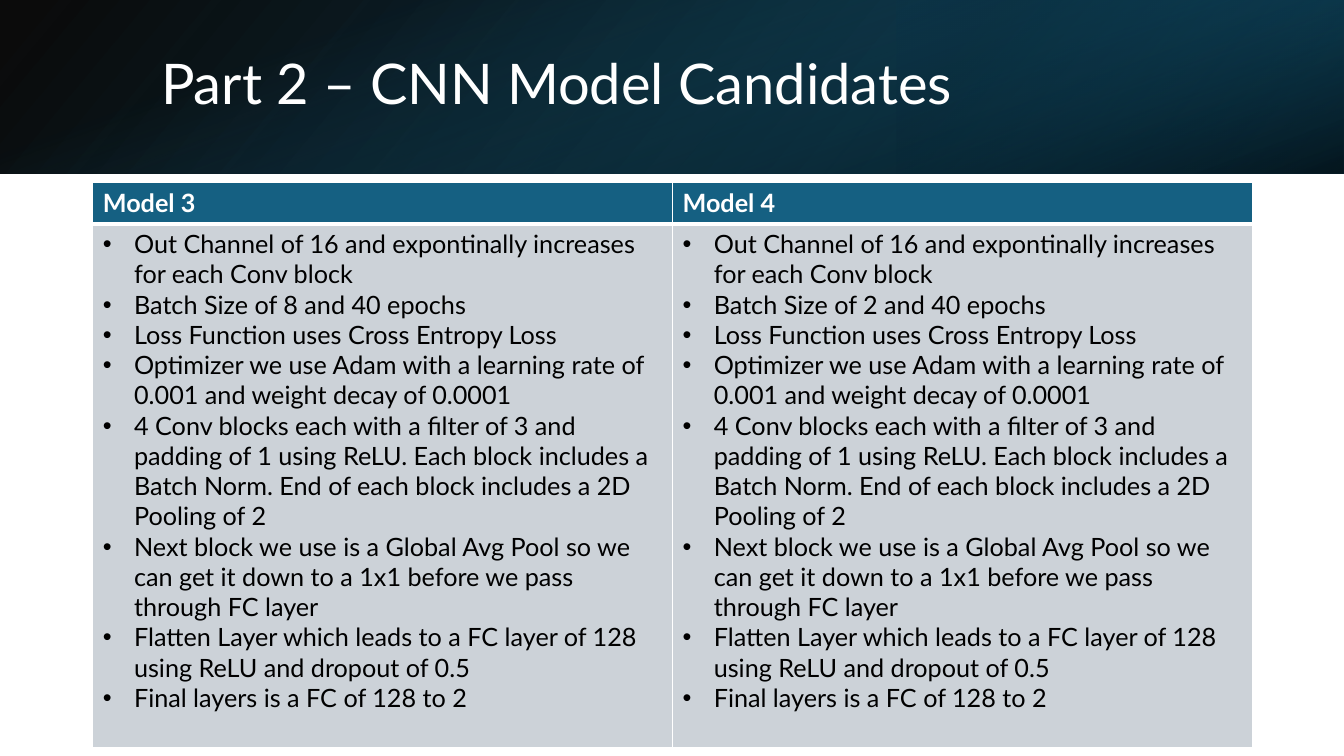
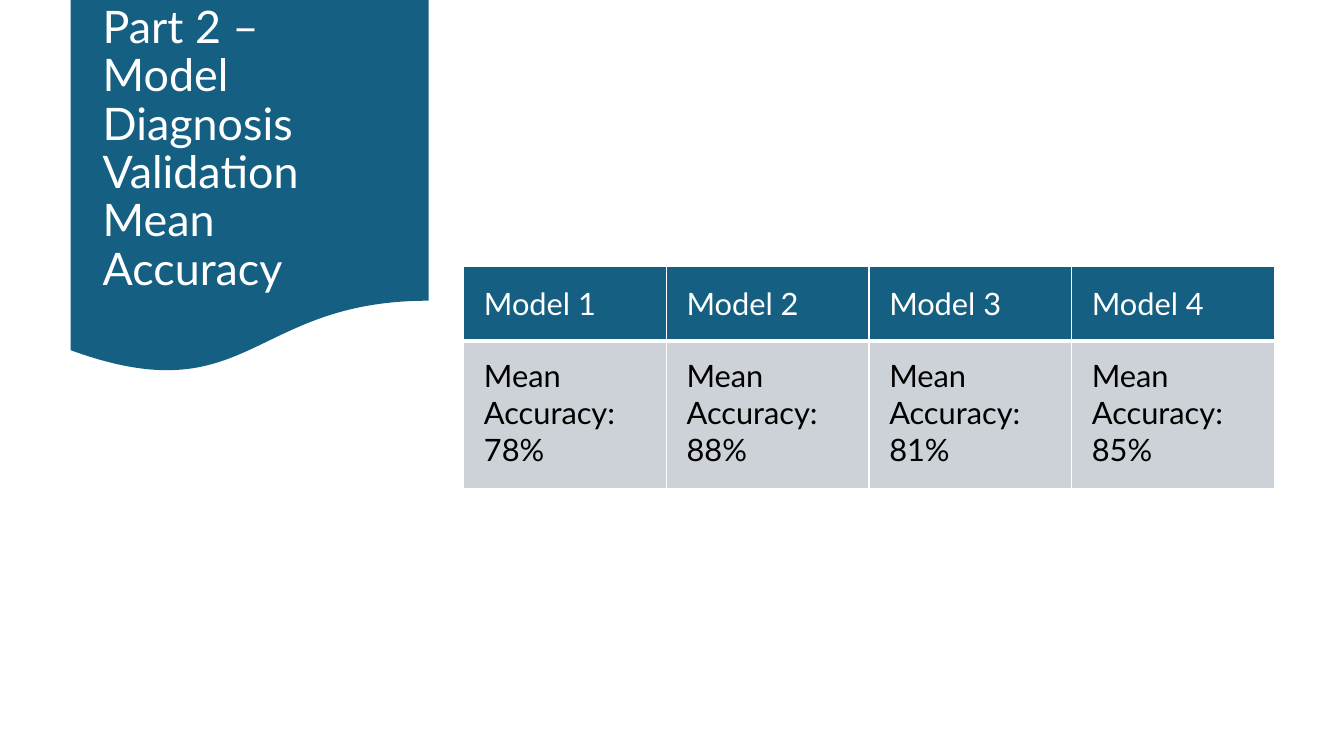
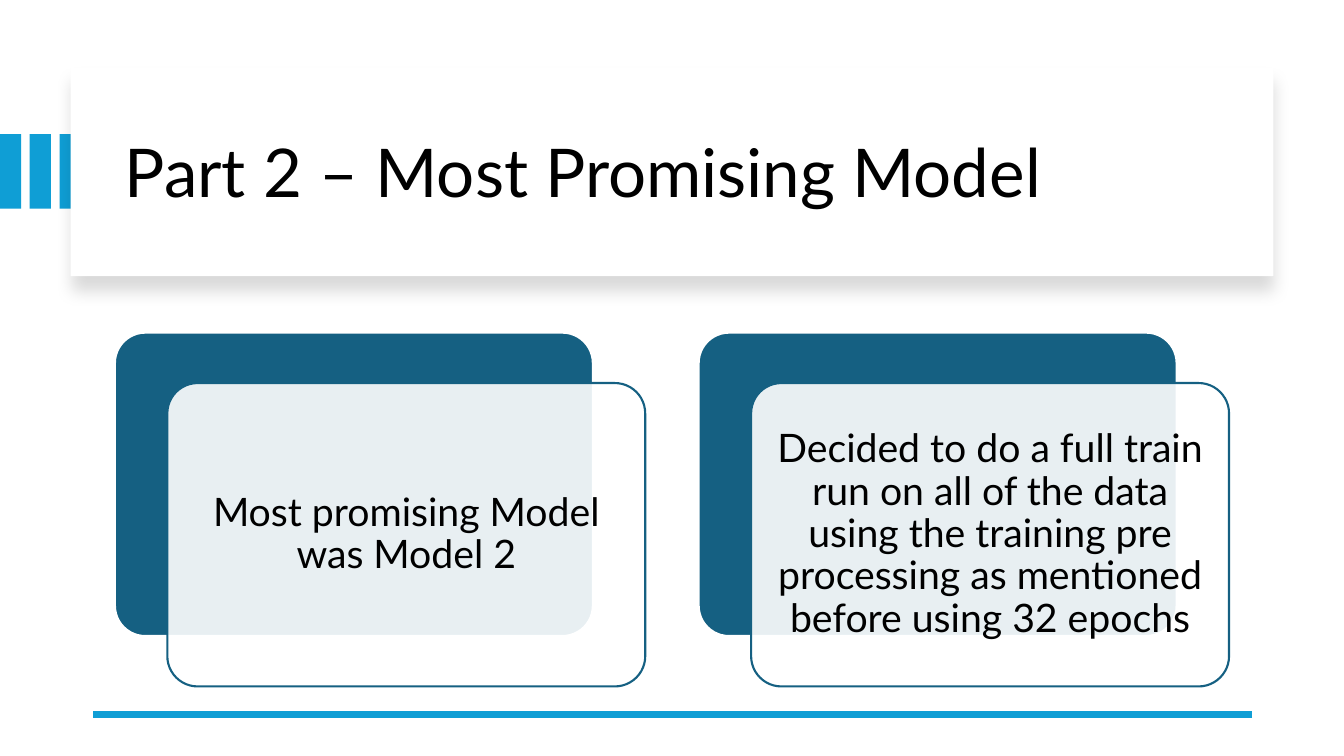
"""Build three slides on CNN model candidates, their accuracy and the chosen model."""
import pptx
import pptx.util
import pptx.dml.color
import pptx.enum.shapes
import pptx.enum.text
import pptx.oxml
import pptx.oxml.ns
from pptx.util import Inches

FONT = "Lato"
TEAL, SKY, GREY, WHITE, BLACK = "156082", "0F9ED5", "CCD2D8", "FFFFFF", "000000"
SHAPES = pptx.enum.shapes.MSO_SHAPE
MIDDLE = pptx.enum.text.MSO_ANCHOR.MIDDLE
TOP = pptx.enum.text.MSO_ANCHOR.TOP
CENTER = pptx.enum.text.PP_ALIGN.CENTER
LEFT = pptx.enum.text.PP_ALIGN.LEFT
NS = 'xmlns:a="http://schemas.openxmlformats.org/drawingml/2006/main"'

TIGHT_CELL = {"margin_left": Inches(0.1), "margin_right": Inches(0.1),
              "margin_top": Inches(0.05), "margin_bottom": Inches(0.05)}
ROOMY_CELL = {"margin_left": Inches(0.2), "margin_right": Inches(0.27),
              "margin_top": Inches(0.16), "margin_bottom": Inches(0.16)}
CARD_TEXT = {"word_wrap": True, "vertical_anchor": MIDDLE,
             **{"margin_" + side: Inches(0.12) for side in ("left", "right", "top", "bottom")}}


def rgb(value):
    return pptx.dml.color.RGBColor.from_string(value)


def apply(target, values):
    for key, value in values.items():
        setattr(target, key, value)


def xml(markup):
    return pptx.oxml.parse_xml(markup)


def set_alpha(color_element, percent):
    color_element.append(xml(f'<a:alpha {NS} val="{percent * 1000}"/>'))


def write(paragraph, text, size, color, bold=False, **layout):
    apply(paragraph, layout)
    run = paragraph.add_run()
    run.text = text
    apply(run.font, {"name": FONT, "size": pptx.util.Pt(size), "bold": bold})
    run.font.color.rgb = rgb(color)


def add_title(slide, box, text, size, color):
    frame = slide.shapes.add_textbox(*map(Inches, box)).text_frame
    apply(frame, {"word_wrap": True, "vertical_anchor": MIDDLE})
    write(frame.paragraphs[0], text, size, color, line_spacing=0.9)


def add_panel(shapes, kind, box, fill=None, alpha=100, outline=None):
    panel = shapes.add_shape(kind, *map(Inches, box))
    panel.shadow.inherit = False
    if fill:
        panel.fill.solid()
        panel.fill.fore_color.rgb = rgb(fill)
        if alpha < 100:
            set_alpha(next(panel._element.spPr.iter(pptx.oxml.ns.qn("a:srgbClr"))), alpha)
    if outline:
        panel.line.color.rgb = rgb(outline)
        panel.line.width = pptx.util.Pt(1.5)
    else:
        panel.line.fill.background()
    return panel


def add_gradient(slide, box, stops, clockwise_angle):
    fill = add_panel(slide.shapes, SHAPES.RECTANGLE, box).fill
    fill.gradient()
    fill.gradient_angle = 360 - clockwise_angle
    for stop, (position, color, alpha) in zip(fill.gradient_stops, stops):
        stop.position = position
        stop.color.rgb = rgb(color)
        set_alpha(stop._gs.find(pptx.oxml.ns.qn("a:srgbClr")), alpha)


def add_soft_shadow(panel):
    effects = panel._element.spPr.find(pptx.oxml.ns.qn("a:effectLst"))
    effects.append(xml(
        f'<a:outerShdw {NS} blurRad="{pptx.util.Pt(11)}" dist="{pptx.util.Pt(10)}" dir="5400000" '
        f'algn="t" rotWithShape="0"><a:srgbClr val="{BLACK}"><a:alpha val="15000"/>'
        '</a:srgbClr></a:outerShdw>'))


def add_borders(cell, widths):
    properties = cell._tc.get_or_add_tcPr()
    for position, (side, width) in enumerate(widths.items()):
        properties.insert(position, xml(
            f'<a:ln{side} {NS} w="{pptx.util.Pt(width)}"><a:solidFill>'
            f'<a:srgbClr val="{WHITE}"/></a:solidFill></a:ln{side}>'))


def add_bullet(paragraph):
    properties = paragraph._p.get_or_add_pPr()
    apply_indent = Inches(0.31)
    properties.set("marL", str(apply_indent))
    properties.set("indent", str(-apply_indent))
    properties.append(xml(f'<a:buFont {NS} typeface="Arial"/>'))
    properties.append(xml(f'<a:buChar {NS} char="•"/>'))


def add_models(slide, box, heights, headings, bodies, size, margins,
               bold=False, bulleted=False, heading_anchor=TOP):
    table = slide.shapes.add_table(2, len(headings), *map(Inches, box)).table
    table.horz_banding = False
    for row, height in zip(table.rows, heights):
        row.height = Inches(height)
    for column, (heading, lines) in enumerate(zip(headings, bodies)):
        head, body = table.cell(0, column), table.cell(1, column)
        for cell, fill, anchor, borders in (
                (head, TEAL, heading_anchor, {"L": 1, "R": 1, "T": 1, "B": 3}),
                (body, GREY, TOP, {"L": 1, "R": 1, "T": 3, "B": 1})):
            apply(cell, {**margins, "vertical_anchor": anchor})
            cell.fill.solid()
            cell.fill.fore_color.rgb = rgb(fill)
            add_borders(cell, borders)
        write(head.text_frame.paragraphs[0], heading, size, WHITE, bold)
        for index, line in enumerate(lines):
            frame = body.text_frame
            paragraph = frame.add_paragraph() if index else frame.paragraphs[0]
            write(paragraph, line, size, BLACK)
            if bulleted:
                add_bullet(paragraph)


def add_card(slide, left, text):
    shapes = slide.shapes.add_group_shape().shapes
    back = add_panel(shapes, SHAPES.ROUNDED_RECTANGLE, (left, 3.3, 4.74, 3.01), TEAL, outline=WHITE)
    front = add_panel(shapes, SHAPES.ROUNDED_RECTANGLE, (left + 0.52, 3.8, 4.74, 3.01),
                      WHITE, 90, TEAL)
    for panel in (back, front):
        panel.adjustments[0] = 0.1
    apply(front.text_frame, CARD_TEXT)
    write(front.text_frame.paragraphs[0], text, 28, BLACK, alignment=CENTER, line_spacing=0.9)


def add_rule(slide, start, end, y, color, width):
    rule = slide.shapes.add_connector(pptx.enum.shapes.MSO_CONNECTOR.STRAIGHT,
                                      Inches(start), Inches(y), Inches(end), Inches(y))
    rule.line.color.rgb = rgb(color)
    rule.line.width = pptx.util.Pt(width)
    rule._element.spPr.append(xml(f"<a:effectLst {NS}/>"))


def model_facts(batch_size):
    return [
        "Out Channel of 16 and expontinally increases for each Conv block",
        f"Batch Size of {batch_size} and 40 epochs",
        "Loss Function uses Cross Entropy Loss",
        "Optimizer we use Adam with a learning rate of 0.001 and weight decay of 0.0001",
        "4 Conv blocks each with a filter of 3 and padding of 1 using ReLU. Each block "
        "includes a Batch Norm. End of each block includes a 2D Pooling of 2",
        "Next block we use is a Global Avg Pool so we can get it down to a 1x1 before we "
        "pass through FC layer",
        "Flatten Layer which leads to a FC layer of 128 using ReLU and dropout of 0.5",
        "Final layers is a FC of 128 to 2",
    ]


def build_candidates(slide):
    band = (0, 0, 13.33, 1.72)
    add_gradient(slide, band, [(0, BLACK, 96), (1, "104862", 100)], 40)
    add_gradient(slide, (8.89, 0, 4.44, 1.72), [(0.19, "0B3041", 68), (1, TEAL, 79)], 40)
    add_gradient(slide, band, [(0.23, TEAL, 0), (0.99, BLACK, 74)], 70)
    add_title(slide, (1.5, 0.38, 10.98, 0.96), "Part 2 – CNN Model Candidates", 40, WHITE)
    add_models(slide, (0.92, 1.81, 11.5, 5.61), (0.41, 5.2), ["Model 3", "Model 4"],
               [model_facts(8), model_facts(2)], 18, TIGHT_CELL, bold=True, bulleted=True)


def build_accuracy(slide):
    add_panel(slide.shapes, SHAPES.FLOWCHART_DOCUMENT, (0.7, 0, 3.55, 3.72), TEAL)
    add_title(slide, (0.92, 0.19, 3.05, 2.59),
              "Part 2 – Model Diagnosis Validation Mean Accuracy", 32, WHITE)
    accuracies = (78, 88, 81, 85)
    add_models(slide, (4.6, 2.64, 8.04, 2.21), (0.74, 1.47),
               [f"Model {number}" for number in range(1, len(accuracies) + 1)],
               [[f"Mean Accuracy: {accuracy}%"] for accuracy in accuracies],
               22, ROOMY_CELL, heading_anchor=MIDDLE)


def build_choice(slide):
    stripes = slide.shapes.add_group_shape().shapes
    for index in range(3):
        add_panel(stripes, SHAPES.RECTANGLE, (index * 0.59 / 2, 1.33, 0.21, 0.74), SKY)
    add_soft_shadow(add_panel(slide.shapes, SHAPES.RECTANGLE, (0.7, 0.67, 11.93, 2.07), WHITE))
    add_title(slide, (1.14, 0.89, 11.13, 1.7), "Part 2 – Most Promising Model", 48, BLACK)
    add_rule(slide, 12.42, 0.92, 7.09, SKY, 4.5)
    conclusions = (
        "Most promising Model was Model 2",
        "Decided to do a full train run on all of the data using the training pre "
        "processing as mentioned before using 32 epochs",
    )
    for index, conclusion in enumerate(conclusions):
        add_card(slide, 1.14 + index * 5.79, conclusion)


def main():
    deck = pptx.Presentation()
    apply(deck, {"slide_width": Inches(13.33), "slide_height": Inches(7.5)})
    for build in (build_candidates, build_accuracy, build_choice):
        build(deck.slides.add_slide(deck.slide_layouts[6]))
    deck.save("out.pptx")


if __name__ == "__main__":
    main()
